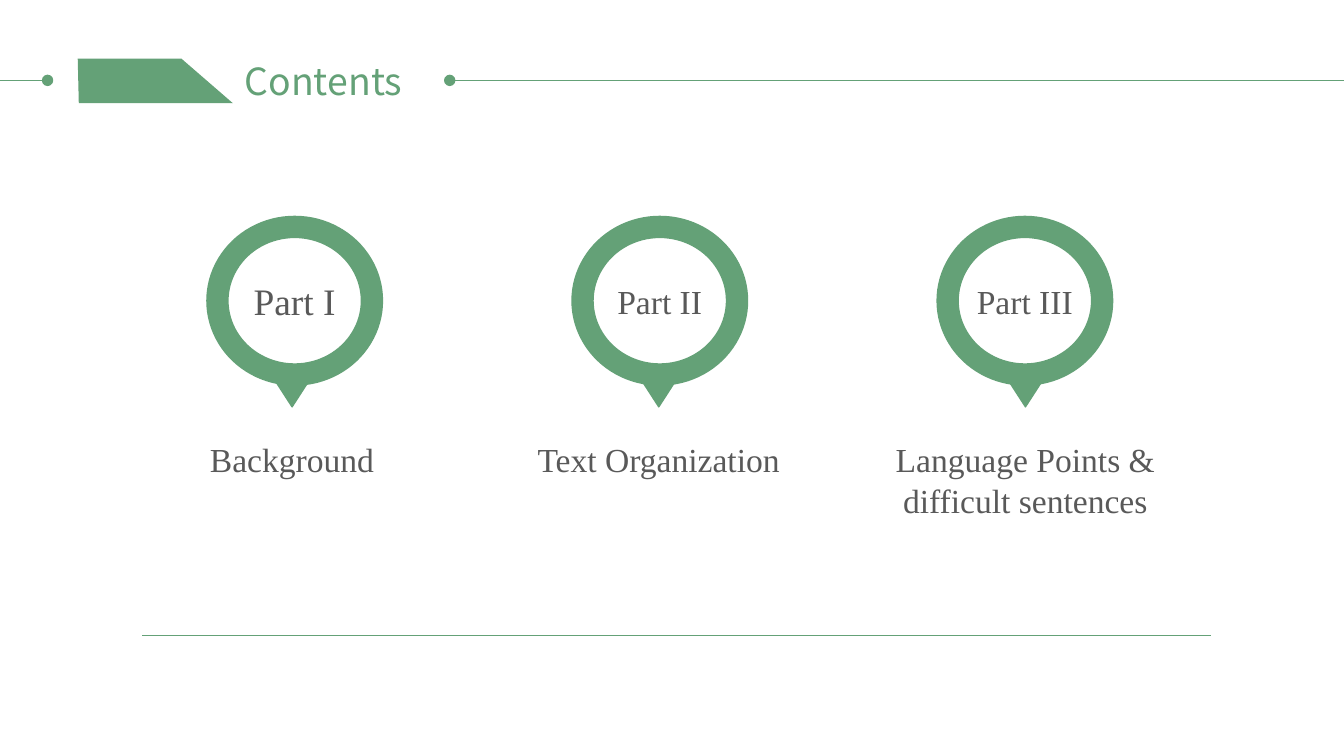
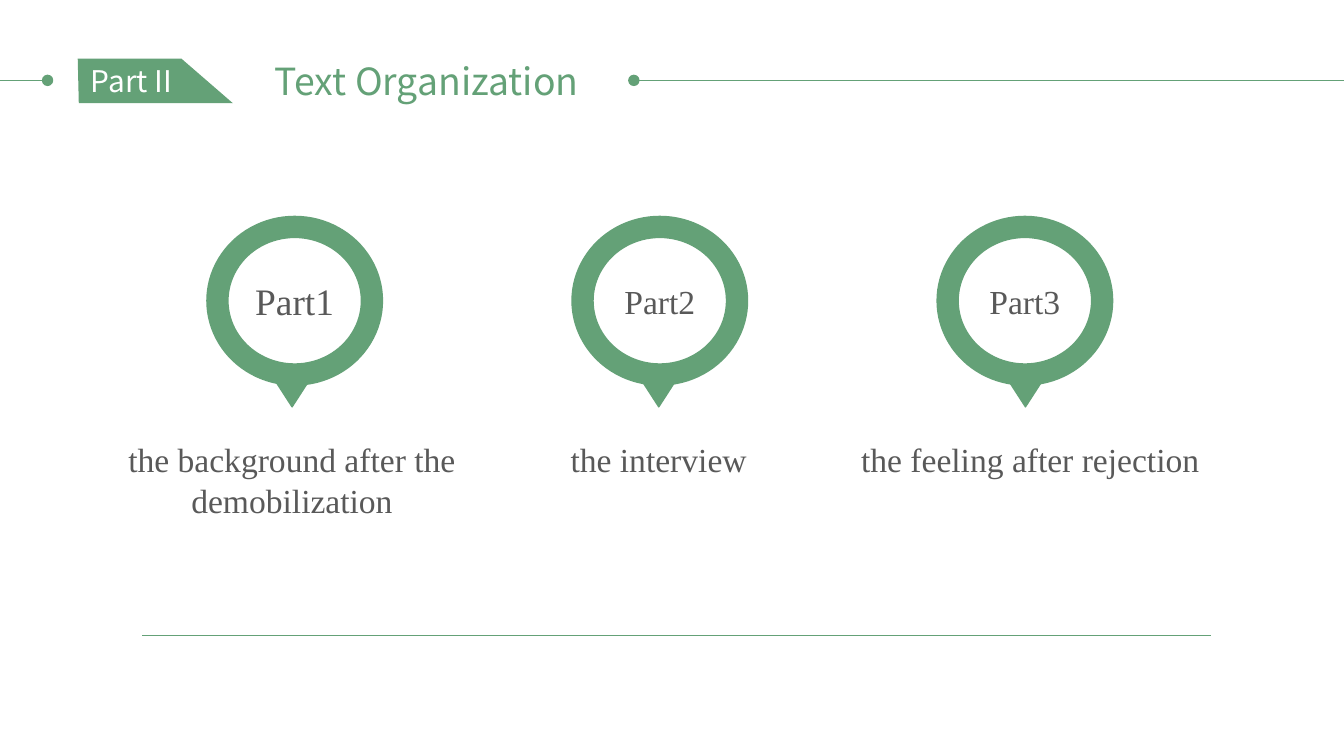
"""Build two pin-style agenda slides for a text-study lesson."""
from dataclasses import dataclass

from lxml.etree import SubElement
from pptx import Presentation
from pptx.dml.color import RGBColor
from pptx.enum.shapes import MSO_CONNECTOR, MSO_SHAPE
from pptx.enum.text import MSO_ANCHOR, MSO_AUTO_SIZE, PP_ALIGN
from pptx.oxml.ns import qn
from pptx.util import Cm, Pt

SLIDES = [
    {
        "tab": "",
        "title": "Contents",
        "title_align": PP_ALIGN.LEFT,
        "rail_start": 8.5,
        "pins": [
            ("Part I", "Background"),
            ("Part II", "Text Organization"),
            ("Part III", "Language Points & difficult sentences"),
        ],
        "wide_last_label": False,
    },
    {
        "tab": "Part II",
        "title": "Text Organization",
        "title_align": PP_ALIGN.CENTER,
        "rail_start": 11.98,
        "pins": [
            ("Part1", "the background after the demobilization"),
            ("Part2", "the interview"),
            ("Part3", "the feeling after rejection"),
        ],
        "wide_last_label": True,
    },
]


@dataclass(frozen=True)
class Theme:
    """Colours, fonts and type sizes."""
    green: RGBColor = RGBColor(0x64, 0xA1, 0x77)
    grey: RGBColor = RGBColor(0x59, 0x59, 0x59)
    white: RGBColor = RGBColor(0xFF, 0xFF, 0xFF)
    heading_font: str = "Noto Sans CJK SC"
    body_font: str = "Times New Roman"
    title: int = 20
    tab: int = 16
    lead: int = 20
    body: int = 18


THEME = Theme()
SLIDE_W, SLIDE_H = 25.4, 14.29
RAIL_Y, DOT = 1.52, 0.18
RING_LEFT, RING_STEP, RING_TOP, RING_W, RING_H = 4.11, 6.9, 4.29, 2.92, 2.79
AXIS, AXIS_STEP = 5.52, 6.93
TIP_TOP, TIP_W, TIP_H = 7.21, 0.62, 0.48
LABEL_TOP, LABEL_W, LABEL_H, WIDE_LABEL_W = 8.18, 6.71, 1.02, 7.7
TAB_CORNERS = [(1.47, 1.11), (3.43, 1.11), (4.4, 1.95), (1.49, 1.95)]


def write(shape, text, size, font, color, align):
    paragraph = shape.text_frame.paragraphs[0]
    paragraph.text = text
    paragraph.alignment = align
    paragraph.font.size = Pt(size)
    paragraph.font.name = font
    paragraph.font.color.rgb = color


def add_rule(slide, left, right, y, weight):
    rule = slide.shapes.add_connector(
        MSO_CONNECTOR.STRAIGHT, Cm(left), Cm(y), Cm(right), Cm(y))
    rule.line.color.rgb = THEME.green
    rule.line.width = Pt(weight)
    SubElement(rule._element.spPr, qn("a:effectLst"))


def add_green(slide, kind, left, top, width, height, weight):
    shape = slide.shapes.add_shape(kind, Cm(left), Cm(top), Cm(width), Cm(height))
    shape.shadow.inherit = False
    shape.fill.solid()
    shape.fill.fore_color.rgb = THEME.green
    shape.line.color.rgb = THEME.green
    shape.line.width = Pt(weight)
    return shape


def add_rail(slide, dot_x, edge_x):
    add_rule(slide, dot_x, edge_x, RAIL_Y, 0.5)
    add_green(slide, MSO_SHAPE.OVAL, dot_x - DOT / 2, RAIL_Y - DOT / 2, DOT, DOT, 1)


def add_tab(slide, text):
    corners = [(Cm(x), Cm(y)) for x, y in TAB_CORNERS]
    builder = slide.shapes.build_freeform(*corners[0])
    builder.add_line_segments(corners[1:], close=True)
    tab = builder.convert_to_shape()
    tab.shadow.inherit = False
    tab.fill.solid()
    tab.fill.fore_color.rgb = THEME.green
    tab.line.fill.background()
    if text:
        tab.text_frame.vertical_anchor = MSO_ANCHOR.MIDDLE
        write(tab, text, THEME.tab, THEME.heading_font, THEME.white, PP_ALIGN.LEFT)


def add_header(slide, content):
    add_tab(slide, content["tab"])
    title = slide.shapes.title
    title.left, title.top, title.width, title.height = Cm(4.37), Cm(0.97), Cm(7.39), Cm(1.12)
    title.text_frame.vertical_anchor = MSO_ANCHOR.TOP
    title.text_frame.auto_size = MSO_AUTO_SIZE.NONE
    write(title, content["title"], THEME.title, THEME.heading_font, THEME.green,
          content["title_align"])
    add_rail(slide, 0.9, 0)
    add_rail(slide, content["rail_start"], SLIDE_W)


def add_pin(slide, index, part, topic, wide):
    ring = add_green(slide, MSO_SHAPE.OVAL, RING_LEFT + index * RING_STEP, RING_TOP,
                     RING_W, RING_H, 12)
    ring.fill.background()
    ring.text_frame.word_wrap = False
    ring.text_frame.vertical_anchor = MSO_ANCHOR.MIDDLE
    write(ring, part, THEME.body if index else THEME.lead, THEME.body_font,
          THEME.grey, PP_ALIGN.CENTER)

    axis = AXIS + index * AXIS_STEP
    tip = add_green(slide, MSO_SHAPE.ISOSCELES_TRIANGLE, axis - TIP_W / 2, TIP_TOP,
                    TIP_W, TIP_H, 0.75)
    tip.rotation = 180

    label = slide.shapes.add_textbox(
        Cm(axis - LABEL_W / 2), Cm(LABEL_TOP), Cm(WIDE_LABEL_W if wide else LABEL_W),
        Cm(LABEL_H))
    label.text_frame.word_wrap = True
    label.text_frame.auto_size = MSO_AUTO_SIZE.SHAPE_TO_FIT_TEXT
    write(label, topic, THEME.body, THEME.body_font, THEME.grey,
          PP_ALIGN.LEFT if wide else PP_ALIGN.CENTER)


def main():
    deck = Presentation()
    deck.slide_width, deck.slide_height = Cm(SLIDE_W), Cm(SLIDE_H)
    title_only = deck.slide_layouts[5]
    for content in SLIDES:
        slide = deck.slides.add_slide(title_only)
        add_rule(slide, 2.69, 22.89, 12.01, 0.75)
        last = len(content["pins"]) - 1
        for index, (part, topic) in enumerate(content["pins"]):
            add_pin(slide, index, part, topic,
                    content["wide_last_label"] and index == last)
        add_header(slide, content)
    deck.save("out.pptx")


if __name__ == "__main__":
    main()
